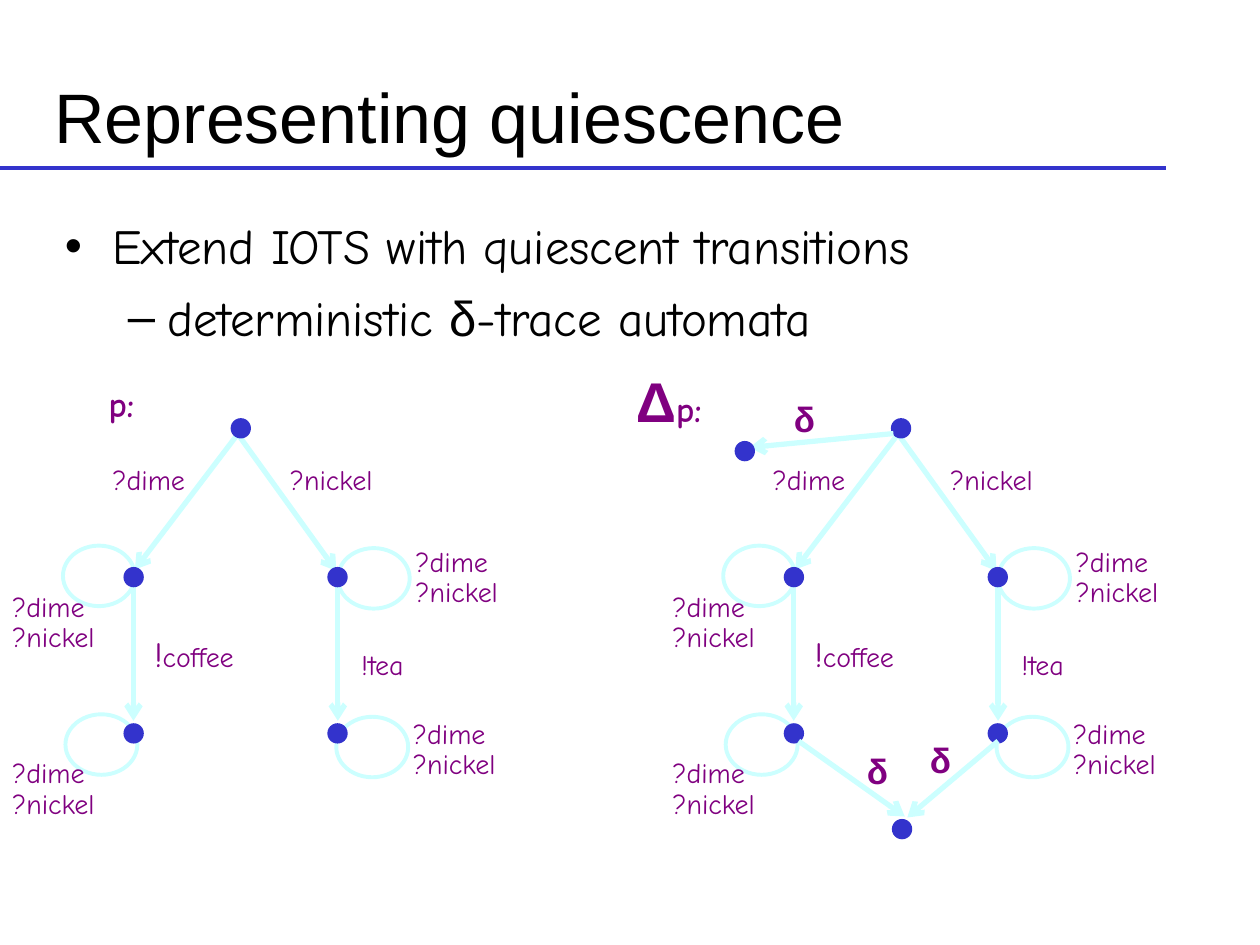
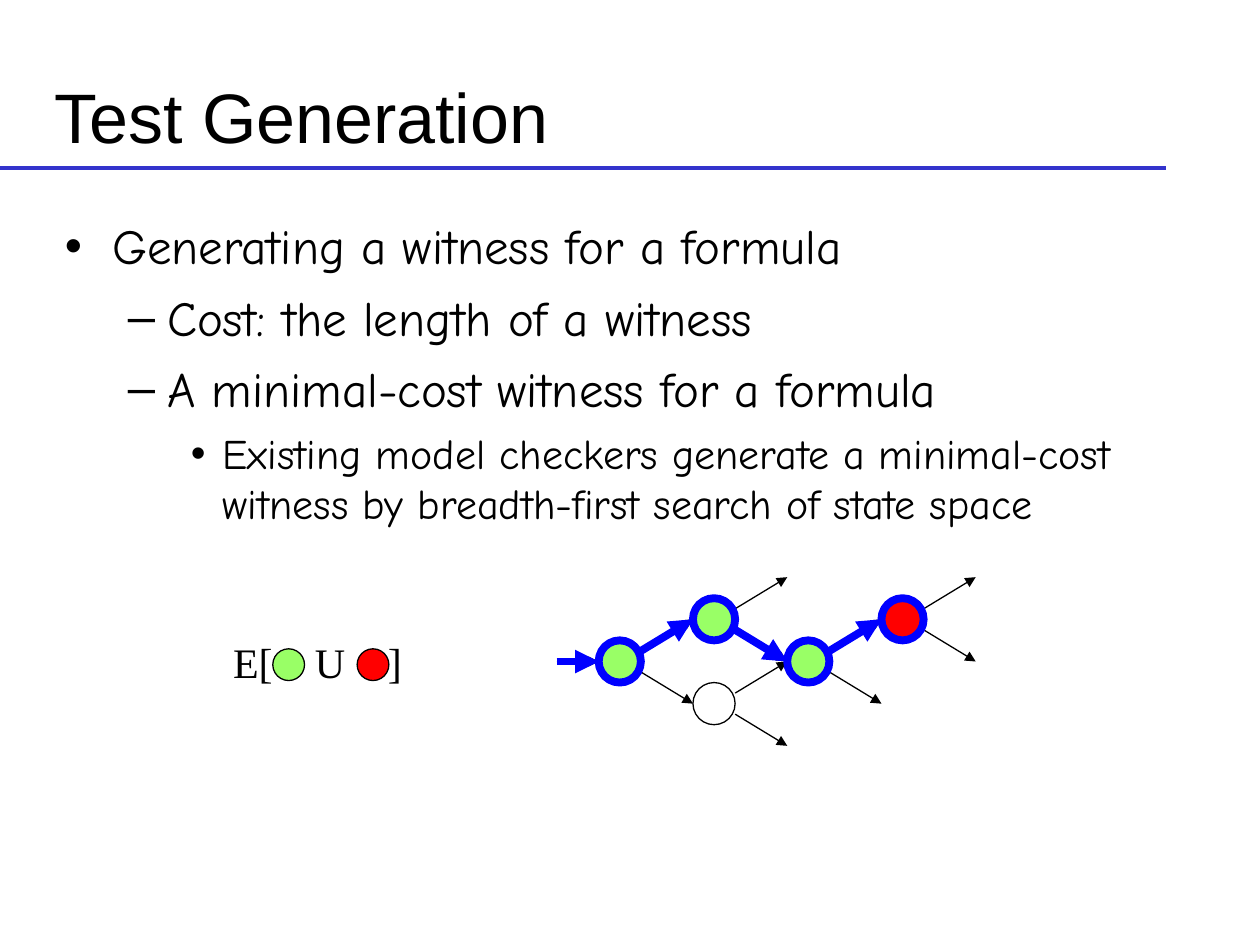
"""Build two slides on test generation: quiescence and witness search."""
from copy import deepcopy

from lxml import etree
from pptx import Presentation
from pptx.dml.color import RGBColor
from pptx.enum.shapes import MSO_CONNECTOR, MSO_SHAPE
from pptx.enum.text import MSO_ANCHOR, PP_ALIGN
from pptx.oxml.ns import qn
from pptx.util import Cm, Pt

STRAIGHT = MSO_CONNECTOR.STRAIGHT
OVAL, DOT = MSO_SHAPE.OVAL, MSO_SHAPE.FLOWCHART_CONNECTOR
TOP, MIDDLE = MSO_ANCHOR.TOP, MSO_ANCHOR.MIDDLE
LEFT, CENTER = PP_ALIGN.LEFT, PP_ALIGN.CENTER

COLORS = {"ink": "000000", "rule": "3333CC", "edge": "CCFFFF", "label": "800080",
          "white": "FFFFFF", "green": "99FF66", "red": "FF0000", "path": "0000FF"}
SANS, COMIC, SERIF = "Arial", "Comic Neue", "Times New Roman"

LEVELS = [
    {"mark": "•", "left": 0.95, "hang": 0.95, "size": 28, "before": 7},
    {"mark": "–", "left": 2.06, "hang": 0.79, "size": 28, "before": 7},
    {"mark": "•", "left": 3.18, "hang": 0.64, "size": 24, "before": 6},
]
EDGE = {"color": "edge", "width": 3, "head": "arrow"}
THIN = {"color": "ink", "width": 0.75, "head": "triangle"}
THICK = {"color": "path", "width": 4.5, "head": "triangle"}

SHIFT = 13.31
DIAM, STEP = 0.85, 1.9
UP, DOWN = -1, 1


def tint(name):
    """Return the named colour."""
    return RGBColor.from_string(COLORS[name])


def put(item, values):
    """Set every attribute in values on item."""
    for name, value in values.items():
        setattr(item, name, value)


def write(para, text, size, font=COMIC, color="label", bold=False):
    """Add one formatted run to a paragraph."""
    run = para.add_run()
    run.text = text
    put(run.font, {"size": Pt(size), "name": font, "bold": bold})
    run.font.color.rgb = tint(color)
    return run


def frame(slide, box, anchor=MIDDLE):
    """Add a wrapping text box and return its text frame."""
    text = slide.shapes.add_textbox(*map(Cm, box)).text_frame
    put(text, {"word_wrap": True, "vertical_anchor": anchor})
    return text


def label(slide, box, *runs, **look):
    """Add a centred one-line label made of (text, size, ...) runs."""
    para = frame(slide, box).paragraphs[0]
    put(para, {"alignment": CENTER, "line_spacing": 1.2})
    for run in runs:
        write(para, *run, **look)


def pair(slide, left, top):
    """Add the two-line label of a loop."""
    para = frame(slide, (left, top, 2.54, 1.47)).paragraphs[0]
    put(para, {"alignment": LEFT, "line_spacing": 0.9})
    first = write(para, "?dime", 16)
    para.add_line_break()
    write(para, "?nickel", 16)
    para._p.find(qn("a:br")).append(deepcopy(first._r.rPr))


def line(slide, ends, color, width, head=None):
    """Add a straight line, with an arrowhead if one is named."""
    link = slide.shapes.add_connector(STRAIGHT, *map(Cm, ends))
    link.line.color.rgb = tint(color)
    link.line.width = Pt(width)
    props = link._element.spPr
    if head:
        etree.SubElement(props.find(qn("a:ln")), qn("a:tailEnd"), type=head)
    etree.SubElement(props, qn("a:effectLst"))


def oval(slide, box, fill=None, edge=None, width=0.75, kind=OVAL):
    """Add a circle or ellipse with optional fill and outline."""
    shape = slide.shapes.add_shape(kind, *map(Cm, box))
    shape.shadow.inherit = False
    for part, name in ((shape.fill, fill), (shape.line.fill, edge)):
        if name:
            part.solid()
            part.fore_color.rgb = tint(name)
        else:
            part.background()
    if edge:
        shape.line.width = Pt(width)


def dot(slide, left, top):
    """Add a state of a transition system."""
    oval(slide, (left, top, 0.41, 0.41), fill="rule", kind=DOT)


def base(deck, title, points):
    """Add a slide with its title, rule and bullet points."""
    slide = deck.slides.add_slide(deck.slide_layouts[6])
    line(slide, (0, 3.39, 23.5, 3.39), "rule", 2)
    head = frame(slide, (0.85, 1.27, 23.71, 2.12))
    write(head.paragraphs[0], title, 40, SANS, "ink")
    body = frame(slide, (1.06, 4.23, 23.5, 12.7), TOP)
    for count, (depth, runs) in enumerate(points):
        level = LEVELS[depth]
        para = body.add_paragraph() if count else body.paragraphs[0]
        put(para, {"level": depth, "space_before": Pt(level["before"] if count else 0)})
        props = para._p.get_or_add_pPr()
        props.set("marL", str(Cm(level["left"])))
        props.set("indent", str(-Cm(level["hang"])))
        etree.SubElement(props, qn("a:buFont"), typeface=SANS)
        etree.SubElement(props, qn("a:buChar"), char=level["mark"])
        for text, font in runs:
            write(para, text, level["size"], font, "ink")
    return slide


def tree(slide, dx):
    """Draw the coffee and tea machine, moved right by dx."""
    for left, top in ((6.81, 11.05), (1.27, 11), (1.32, 14.4), (6.78, 14.45)):
        oval(slide, (left + dx, top, 1.45, 1.22), edge="edge", width=2.25)
    for left, top in ((8.13, 10.92), (8.08, 14.4), (0, 11.84), (0, 15.19)):
        pair(slide, left + dx, top)
    for x1, y1, x2, y2 in ((2.69, 11.81, 2.69, 14.53), (6.81, 11.81, 6.81, 14.53),
                           (4.8, 8.76, 6.78, 11.51), (4.9, 8.61, 2.72, 11.48)):
        line(slide, (x1 + dx, y1, x2 + dx, y2), **EDGE)
    dot(slide, 4.65 + dx, 8.43)
    for left in (2.49, 6.6):
        for top in (11.43, 14.58):
            dot(slide, left + dx, top)
    for text, left, top, width in (("?dime", 1.73, 9.07, 2.54),
                                   ("?nickel", 5.41, 9.07, 2.54),
                                   ("!tea", 6.73, 12.8, 1.96)):
        label(slide, (left + dx, top, width, 1.07), (text, 16))
    label(slide, (2.73 + dx, 12.45, 2.36, 1.27), ("!", 20), ("coffee", 16))


def quiet(slide):
    """Add the quiescent transitions and the names of both systems."""
    for ends in ((18.01, 8.74, 15.11, 9.02), (20.12, 14.94, 18.29, 16.48),
                 (16.1, 14.94, 18.24, 16.46)):
        line(slide, ends, **EDGE)
    for left, top in ((14.81, 8.89), (17.98, 16.51)):
        dot(slide, left, top)
    for left, top in ((15.24, 7.72), (17.98, 14.6), (16.71, 14.81)):
        label(slide, (left, top, 1.96, 1.27), ("δ", 20, SANS), bold=True)
    label(slide, (1.47, 7.42, 1.96, 1.27), ("p:", 20), bold=True)
    label(slide, (12.5, 6.99, 1.96, 1.88), ("Δ", 32, SANS), ("p:", 20), bold=True)


def place(spot):
    """Return the left and top of a node given as (column, row)."""
    col, row = spot
    return 12.07 + col * STEP, 12.06 + row * DIAM


def node(slide, spot, **look):
    """Draw a node of the state space."""
    oval(slide, (*place(spot), DIAM, DIAM), **look)


def branch(slide, spot, way, style):
    """Draw the arrow that leaves a node up or down."""
    left, top = place(spot)
    mid = top + DIAM / 2
    line(slide, (left + DIAM, mid + way * DIAM / 4, left + STEP, mid + way * DIAM),
         **style)


def enter(slide, spot, style):
    """Draw the arrow into the first node."""
    left, top = place(spot)
    mid = top + DIAM / 2
    line(slide, (left - DIAM, mid, left, mid), **style)


def search(slide):
    """Draw the state space and the witness path through it."""
    start, upper, lower, join, goal = (0, 1), (1, 0), (1, 2), (2, 1), (3, 0)
    enter(slide, start, THIN)
    for spot in (start, upper, lower, join, goal):
        for way in (UP, DOWN):
            branch(slide, spot, way, THIN)
    node(slide, lower, fill="white", edge="ink")
    for spot, fill, way in ((start, "green", UP), (upper, "green", DOWN),
                            (join, "green", UP), (goal, "red", None)):
        node(slide, spot, fill=fill, edge="path", width=4.5)
        if way:
            branch(slide, spot, way, THICK)
    enter(slide, start, THICK)


def until(slide):
    """Write the until formula with coloured states as its operands."""
    para = frame(slide, (4.45, 12.7, 4.6, 1.27), TOP).paragraphs[0]
    tabs = etree.SubElement(para._p.get_or_add_pPr(), qn("a:tabLst"))
    for stop in (1.65, 3.12):
        etree.SubElement(tabs, qn("a:tab"), pos=str(Cm(stop)), algn="l")
    write(para, "E[\tU\t]", 24, SERIF, "ink")
    for left, fill in ((5.5, "green"), (7.2, "red")):
        oval(slide, (left, 13.08, 0.64, 0.64), fill=fill, edge="ink")


def main():
    """Build and save the deck."""
    deck = Presentation()
    put(deck, {"slide_width": Cm(25.4), "slide_height": Cm(19.05)})

    slide = base(deck, "Representing quiescence", [
        (0, [("Extend IOTS with quiescent transitions", COMIC)]),
        (1, [("deterministic ", COMIC), ("δ", SANS), ("-trace automata", COMIC)]),
    ])
    for dx in (0, SHIFT):
        tree(slide, dx)
    quiet(slide)

    slide = base(deck, "Test Generation", [
        (0, [("Generating a witness for a formula", COMIC)]),
        (1, [("Cost: the length of a witness", COMIC)]),
        (1, [("A minimal-cost witness for a formula", COMIC)]),
        (2, [("Existing model checkers generate a minimal-cost witness "
              "by breadth-first search of state space", COMIC)]),
    ])
    search(slide)
    until(slide)
    deck.save("out.pptx")


if __name__ == "__main__":
    main()
